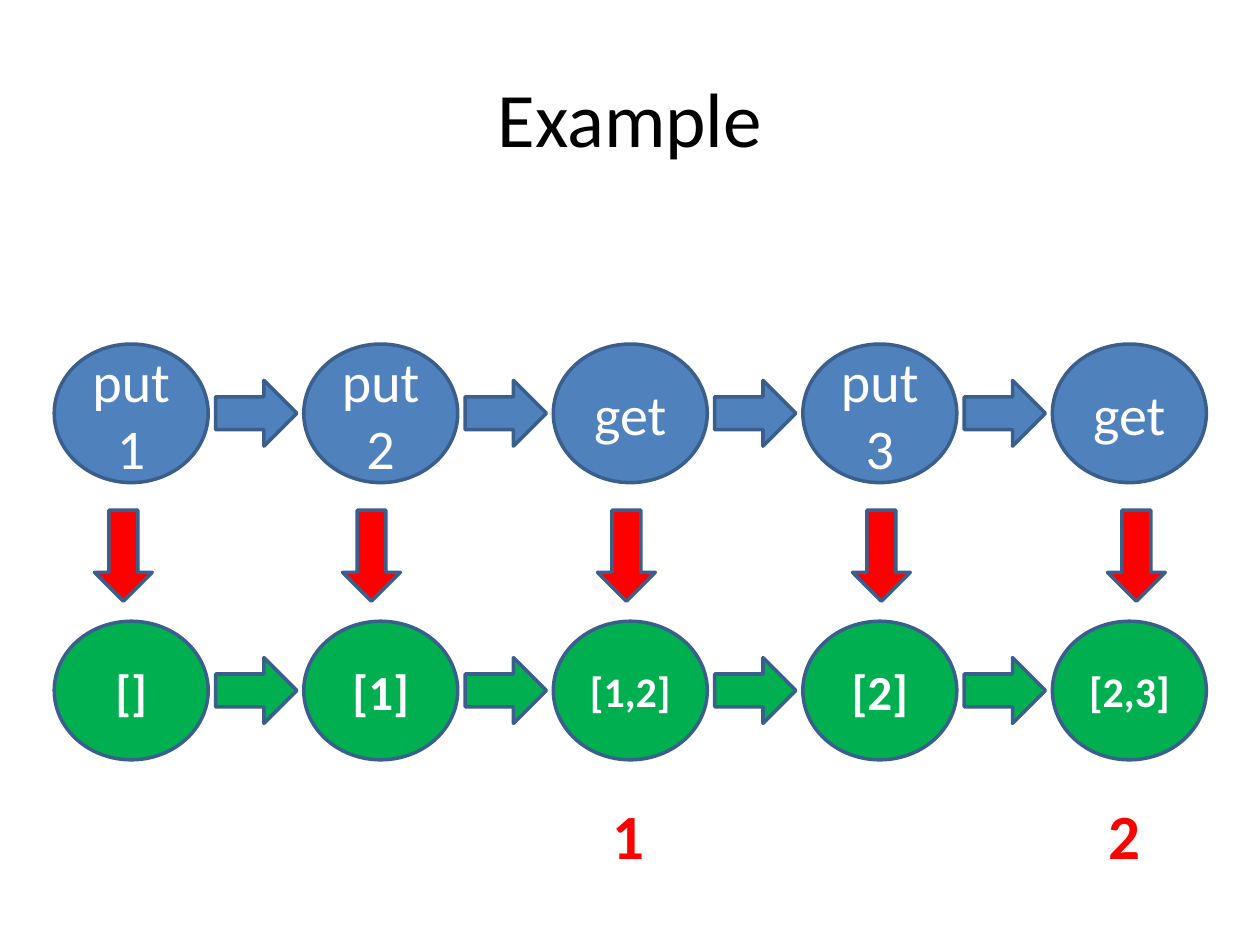
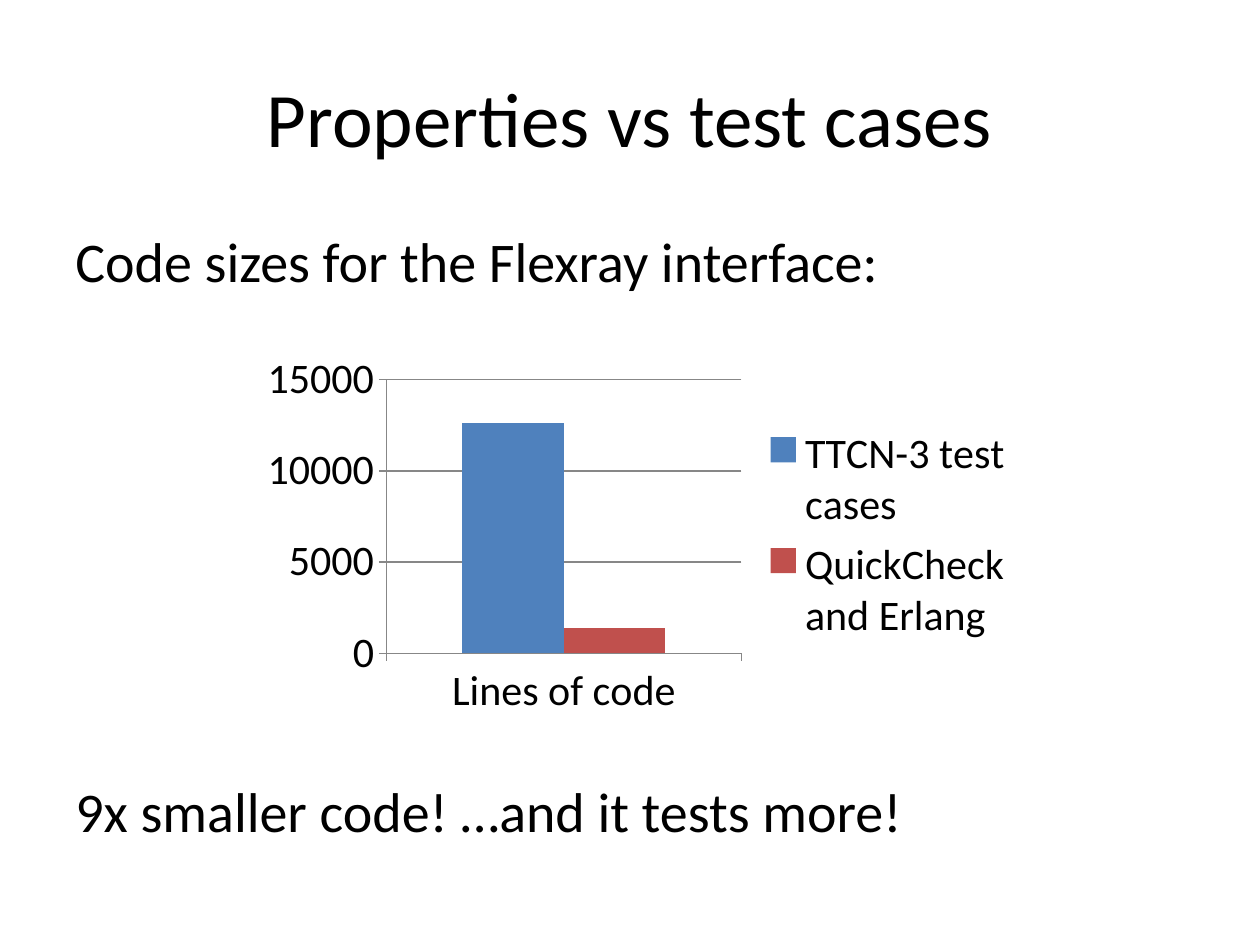
from pptx import Presentation
from pptx.chart.data import CategoryChartData
from pptx.dml.color import RGBColor
from pptx.enum.chart import XL_CHART_TYPE as ChartType, XL_LEGEND_POSITION as LegendPosition
from pptx.enum.chart import XL_TICK_MARK as TickMark
from pptx.enum.shapes import MSO_SHAPE as Preset
from pptx.enum.text import MSO_ANCHOR as Anchor, PP_ALIGN as Align
from pptx.util import Pt

FONT = "Calibri"
BLACK, WHITE, RED = "000000", "FFFFFF", "FF0000"
BLUE, GREEN, BRICK = "4F81BD", "00B050", "C0504D"
OUTLINE, GRID = "3A5F8C", "878787"

STEP_LEFT, STEP_PITCH = 31, 142.6
STEP_WIDTH, STEP_HEIGHT = 88, 79.2
CALL_TOP, STATE_TOP = 196.6, 355

CALLS = [("put 1", 32), ("put 2", 32), ("get", 32), ("put 3", 32), ("get", 32)]
STATES = [("[]", 28), ("[1]", 28), ("[1,2]", 24), ("[2]", 28), ("[2,3]", 24)]
MAPPING_LEFTS = [54] + [195.8 + 145.7 * i for i in range(4)]
RESULTS = [("1", 342.7), ("2", 626.4)]
CODE_SIZES = [("TTCN-3 test cases", 12600, BLUE), ("QuickCheck and Erlang", 1400, BRICK)]


def color(value):
    return RGBColor.from_string(value)


def style_font(font, size, ink, bold=False):
    font.name = FONT
    font.size = Pt(size)
    font.bold = bold
    font.color.rgb = color(ink)


def write(frame, text, size, ink, align=Align.LEFT, bold=False):
    paragraph = frame.paragraphs[0]
    paragraph.alignment = align
    run = paragraph.add_run()
    run.text = text
    style_font(run.font, size, ink, bold)


def add_titled_slide(deck, heading):
    slide = deck.slides.add_slide(deck.slide_layouts[5])
    title = slide.shapes.title
    title.left, title.top, title.width, title.height = Pt(36), Pt(21.6), Pt(648), Pt(90)
    title.text_frame.vertical_anchor = Anchor.MIDDLE
    write(title.text_frame, heading, 44, BLACK, Align.CENTER)
    return slide


def add_text(shapes, text, left, top, width, height, size, ink, bold=False):
    frame = shapes.add_textbox(Pt(left), Pt(top), Pt(width), Pt(height)).text_frame
    frame.word_wrap = True
    write(frame, text, size, ink, bold=bold)


def add_outlined(shapes, preset, left, top, width, height, fill):
    shape = shapes.add_shape(preset, Pt(left), Pt(top), Pt(width), Pt(height))
    shape.shadow.inherit = False
    shape.fill.solid()
    shape.fill.fore_color.rgb = color(fill)
    shape.line.color.rgb = color(OUTLINE)
    shape.line.width = Pt(2)
    return shape


def add_sequence(slide, steps, top, fill, bold=False):
    shapes = slide.shapes.add_group_shape().shapes
    for i, (label, size) in enumerate(steps):
        left = STEP_LEFT + i * STEP_PITCH
        step = add_outlined(shapes, Preset.OVAL, left, top, STEP_WIDTH, STEP_HEIGHT, fill)
        step.text_frame.word_wrap = True
        step.text_frame.vertical_anchor = Anchor.MIDDLE
        write(step.text_frame, label, size, WHITE, Align.CENTER, bold)
        if i < len(steps) - 1:
            add_outlined(shapes, Preset.RIGHT_ARROW, left + 92.2, top + 20.8, 46.4, 37.6, fill)


def add_mappings(slide):
    shapes = slide.shapes.add_group_shape().shapes
    for left in MAPPING_LEFTS:
        add_outlined(shapes, Preset.DOWN_ARROW, left, 291.6, 33, 52, RED)
    for result, left in RESULTS:
        add_text(shapes, result, left, 451.4, 39.6, 51, 36, RED, bold=True)


def style_axis(axis):
    axis.major_tick_mark = TickMark.OUTSIDE
    axis.minor_tick_mark = TickMark.NONE
    axis.format.line.color.rgb = color(GRID)
    axis.format.line.width = Pt(0.75)


def add_code_size_chart(slide):
    data = CategoryChartData()
    data.categories = ["Lines of code"]
    for name, lines, _ in CODE_SIZES:
        data.add_series(name, [lines])
    chart = slide.shapes.add_chart(
        ChartType.COLUMN_CLUSTERED, Pt(144), Pt(198), Pt(444), Pt(216), data
    ).chart
    style_font(chart.font, 24, BLACK)
    chart.has_title = False
    chart.has_legend = True
    chart.legend.position = LegendPosition.RIGHT
    chart.legend.include_in_layout = False
    plot = chart.plots[0]
    plot.gap_width = 150
    plot.vary_by_categories = False
    for series, (_, _, fill) in zip(plot.series, CODE_SIZES):
        series.format.fill.solid()
        series.format.fill.fore_color.rgb = color(fill)
    style_axis(chart.category_axis)
    values = chart.value_axis
    style_axis(values)
    values.minimum_scale, values.maximum_scale, values.major_unit = 0, 15000, 5000
    values.has_major_gridlines = True
    values.major_gridlines.format.line.color.rgb = color(GRID)
    values.major_gridlines.format.line.width = Pt(0.75)


def main():
    deck = Presentation()
    deck.slide_width, deck.slide_height = Pt(720), Pt(540)

    example = add_titled_slide(deck, "Example")
    add_sequence(example, CALLS, CALL_TOP, BLUE)
    add_sequence(example, STATES, STATE_TOP, GREEN, bold=True)
    add_mappings(example)

    comparison = add_titled_slide(deck, "Properties vs test cases")
    add_text(comparison.shapes, "Code sizes for the Flexray interface:",
             36, 126, 648, 46, 32, BLACK)
    add_text(comparison.shapes, "9x smaller code! …and it tests more!",
             36, 440.2, 648, 46, 32, BLACK)
    add_code_size_chart(comparison)

    deck.save("out.pptx")


if __name__ == "__main__":
    main()
